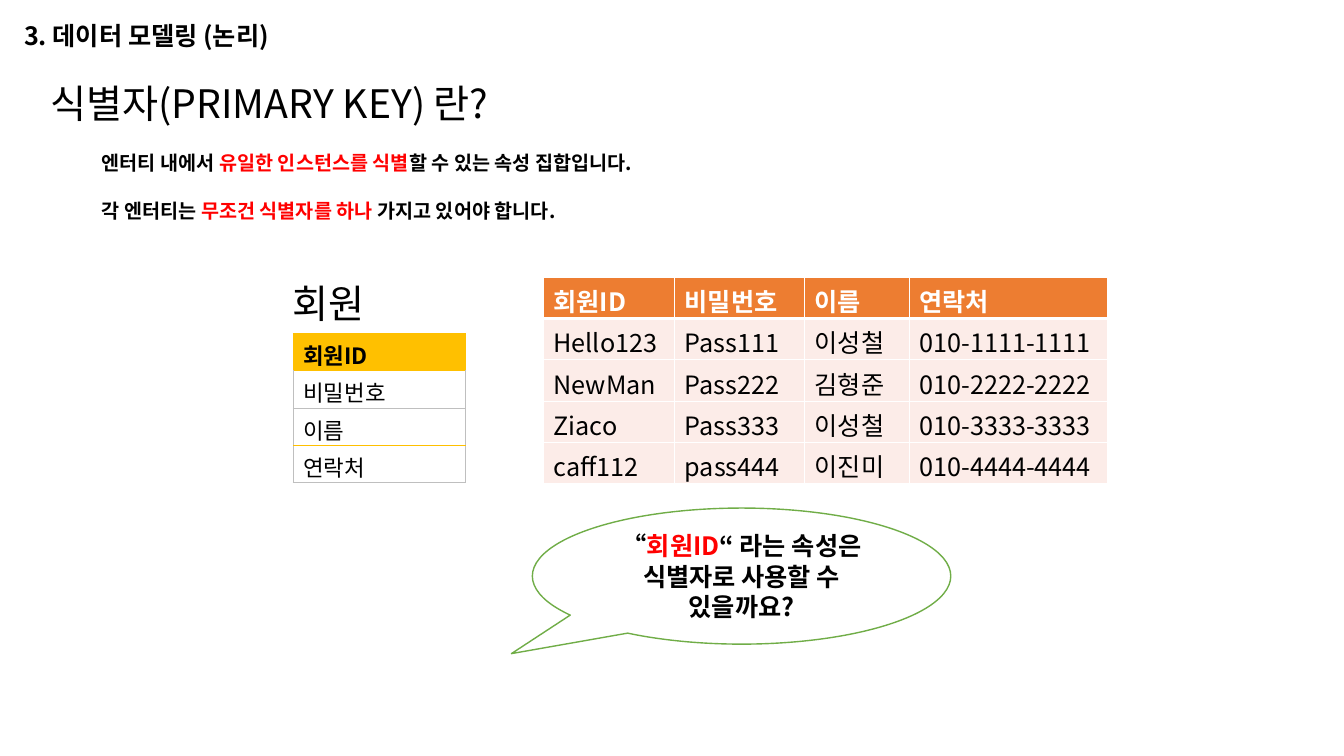
from lxml import etree
from pptx import Presentation
from pptx.dml.color import RGBColor
from pptx.enum.shapes import MSO_SHAPE
from pptx.enum.text import MSO_ANCHOR, MSO_AUTO_SIZE, PP_ALIGN
from pptx.oxml.ns import qn
from pptx.util import Inches, Pt

CALLOUT = MSO_SHAPE.OVAL_CALLOUT
TOP, MIDDLE = MSO_ANCHOR.TOP, MSO_ANCHOR.MIDDLE
FIXED, GROW = MSO_AUTO_SIZE.NONE, MSO_AUTO_SIZE.SHAPE_TO_FIT_TEXT
LEFT, CENTER = PP_ALIGN.LEFT, PP_ALIGN.CENTER

BLACK, WHITE, RED = "000000", "FFFFFF", "FF0000"
ORANGE, PINK, GOLD, GREEN, GRAY = "ED7D31", "FCECE8", "FFC000", "70AD47", "BFBFBF"


def rgb(color):
    return RGBColor.from_string(color)


class SlideBuilder:
    def __init__(self, slide, font):
        self.slide = slide
        self.font = font

    def add_runs(self, paragraph, runs, size, color=BLACK, bold=False):
        """Add runs, each a string or a (string, colour) pair."""
        for run_text in runs:
            words, run_color = (run_text, color) if isinstance(run_text, str) else run_text
            run = paragraph.add_run()
            run.text = words
            for name, value in {"name": self.font, "size": Pt(size), "bold": bold}.items():
                setattr(run.font, name, value)
            run.font.color.rgb = rgb(run_color)
            etree.SubElement(run.font._element, qn("a:ea"), typeface=self.font)

    def fill_frame(self, frame, lines, size, frame_format, paragraph_format, gap=0, **style):
        for name, value in {"word_wrap": True, **frame_format}.items():
            setattr(frame, name, value)
        for index, runs in enumerate(lines):
            paragraph = frame.add_paragraph() if index else frame.paragraphs[0]
            props = paragraph._p.get_or_add_pPr()
            props.set("marL", "0")
            props.set("indent", "0")
            etree.SubElement(props, qn("a:buNone"))
            spacing = {"space_before": Pt(gap if index else 0), "line_spacing": 1.0}
            for name, value in {**spacing, **paragraph_format}.items():
                setattr(paragraph, name, value)
            self.add_runs(paragraph, runs, size, **style)

    def placeholder(self, index, box, lines, size, anchor, line_spacing=1.0, **style):
        holder = self.slide.placeholders[index]
        for name, value in zip(("left", "top", "width", "height"), box):
            setattr(holder, name, Inches(value))
        self.fill_frame(holder.text_frame, lines, size,
                        {"vertical_anchor": anchor, "auto_size": FIXED},
                        {"alignment": LEFT, "line_spacing": line_spacing}, **style)

    def label(self, box, text, size, **style):
        frame = self.slide.shapes.add_textbox(*map(Inches, box)).text_frame
        self.fill_frame(frame, [[text]], size, {"auto_size": GROW}, {"alignment": LEFT}, **style)

    def callout(self, box, tip, lines, size, outline):
        bubble = self.slide.shapes.add_shape(CALLOUT, *map(Inches, box))
        bubble.shadow.inherit = False
        bubble.adjustments[0], bubble.adjustments[1] = tip
        bubble.fill.solid()
        bubble.fill.fore_color.rgb = rgb(WHITE)
        bubble.line.color.rgb = rgb(outline)
        bubble.line.width = Pt(1)
        self.fill_frame(bubble.text_frame, lines, size, {"vertical_anchor": MIDDLE},
                        {"alignment": CENTER}, bold=True)

    def borders(self, cell, edges):
        """Draw cell edges given as {side: (colour, points)}."""
        props = cell._tc.get_or_add_tcPr()
        for position, side in enumerate("LRTB"):
            color, width = edges[side]
            line = etree.Element(qn(f"a:ln{side}"), w=str(Pt(width)))
            fill = etree.SubElement(line, qn("a:solidFill"))
            etree.SubElement(fill, qn("a:srgbClr"), val=color)
            props.insert(position, line)

    def table(self, left, top, widths, row_height, rows, size, header, body_fill, edges_of_row):
        """Draw a table; header is (fill, text colour)."""
        grid = self.slide.shapes.add_table(
            len(rows), len(widths), Inches(left), Inches(top),
            Inches(sum(widths)), Inches(row_height * len(rows))).table
        for column, width in zip(grid.columns, widths):
            column.width = Inches(width)
        for row_index, row in enumerate(rows):
            is_header = row_index == 0
            fill, color = header if is_header else (body_fill, BLACK)
            for column_index, text in enumerate(row):
                cell = grid.cell(row_index, column_index)
                cell.fill.solid()
                cell.fill.fore_color.rgb = rgb(fill)
                self.borders(cell, edges_of_row(row_index))
                self.add_runs(cell.text_frame.paragraphs[0], [text], size, color, is_header)


def member_edges(row):
    """White grid with a heavy line under the header."""
    return {"L": (WHITE, 1), "R": (WHITE, 1),
            "T": (WHITE, 3 if row == 1 else 1), "B": (WHITE, 3 if row == 0 else 1)}


def entity_edges(row):
    """Gold and gray horizontal lines in turn, gray sides below the header."""
    side = GRAY if row else GOLD
    above, below = (GRAY, GOLD) if row and row % 2 == 0 else (GOLD, GRAY if row else GOLD)
    return {"L": (side, 1), "R": (side, 1), "T": (above, 1), "B": (below, 1)}


def main():
    deck = Presentation()
    deck.slide_width, deck.slide_height = Inches(13.33), Inches(7.5)
    page = SlideBuilder(deck.slides.add_slide(deck.slide_layouts[1]), "Noto Sans CJK KR")

    page.callout((5.28, 5.04, 4.15, 1.35), (-0.55, 0.57), [
        ["“", ("회원ID", RED), "“ 라는 속성은 식별자로 사용할 수"],
        ["있을까요?"],
    ], 18, GREEN)
    page.placeholder(0, (0.4, 0.79, 6.83, 0.52), [["식별자(PRIMARY KEY) 란?"]], 28, MIDDLE, 0.9)
    page.label((0.14, 0.15, 2.97, 0.4), "3. 데이터 모델링 (논리)", 18, bold=True)
    page.placeholder(1, (0.91, 1.45, 6.49, 0.81), [
        ["엔터티 내에서 ", ("유일한 인스턴스를 식별", RED), "할 수 있는 속성 집합입니다."],
        ["각 엔터티는 ", ("무조건 식별자를 하나", RED), " 가지고 있어야 합니다."],
    ], 14, TOP, gap=17, bold=True)

    attributes = ["회원ID", "비밀번호", "이름", "연락처"]
    members = [
        ["Hello123", "Pass111", "이성철", "010-1111-1111"],
        ["NewMan", "Pass222", "김형준", "010-2222-2222"],
        ["Ziaco", "Pass333", "이성철", "010-3333-3333"],
        ["caff112", "pass444", "이진미", "010-4444-4444"],
    ]
    page.table(5.39, 2.75, [1.3, 1.29, 1.04, 1.97], 0.41, [attributes] + members, 18,
               (ORANGE, WHITE), PINK, member_edges)
    page.label((2.8, 2.72, 1.23, 0.57), "회원", 28)
    page.table(2.91, 3.31, [1.71], 0.37, [[name] for name in attributes], 16,
               (GOLD, BLACK), WHITE, entity_edges)
    deck.save("out.pptx")


if __name__ == "__main__":
    main()
